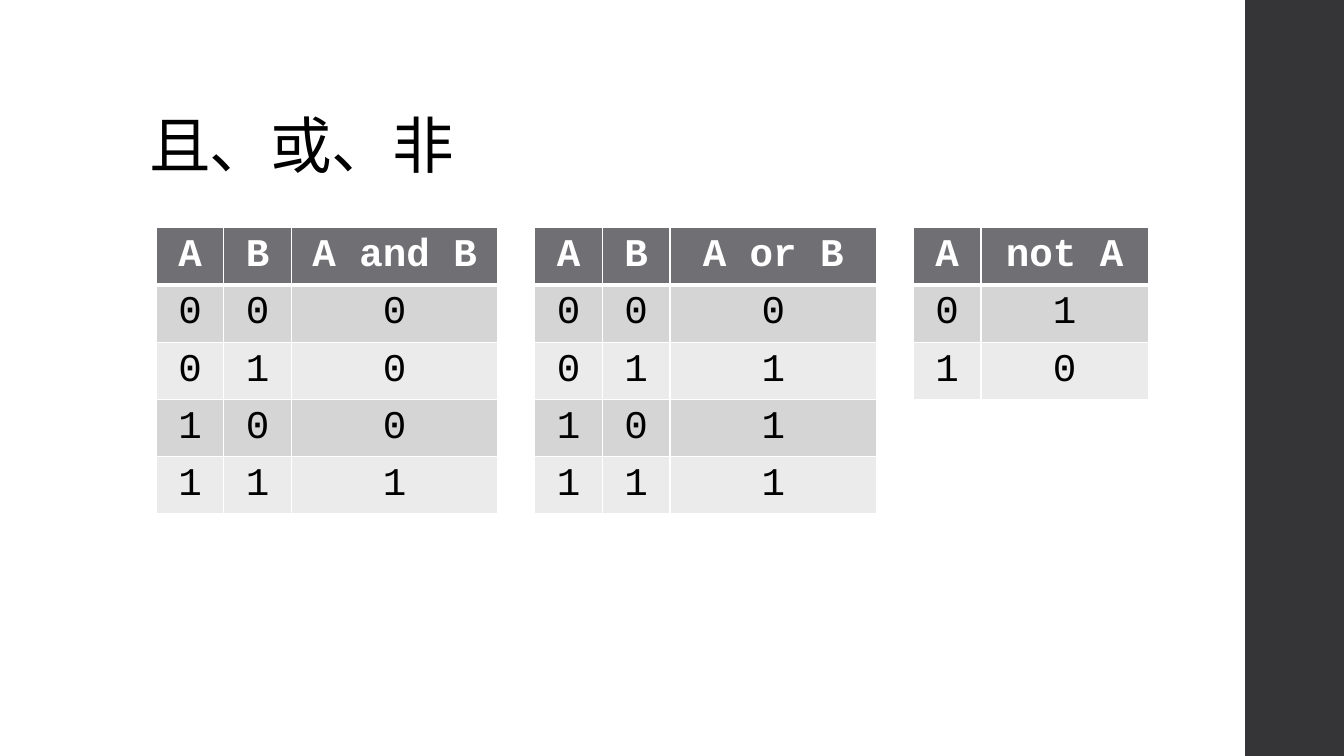
from itertools import product

from lxml.etree import SubElement
from pptx import Presentation
from pptx.dml.color import RGBColor
from pptx.enum.shapes import MSO_SHAPE
from pptx.enum.text import MSO_ANCHOR, PP_ALIGN
from pptx.oxml.ns import qn
from pptx.util import Inches, Pt

SLIDE_W, SLIDE_H = 13.33, 7.5
SIDEBAR_LEFT, SIDEBAR_W = 12.35, 1

# Truth-table grid, in inches
FIRST_LEFT, LAST_LEFT, TABLE_TOP = 1.55, 9.06, 2.26
INPUT_W, ROW_H, FRAME_ROW_H = 0.67, 0.41, 0.567

WHITE, BLACK, SIDEBAR = "FFFFFF", "000000", "353537"
HEADER, BANDS = "6F6F74", ("D5D5D6", "EBEBEB")
TITLE_FONT, TABLE_FONT = "Noto Sans CJK JP", "Courier New"

# Input names, result heading, result column width, operation
OPERATIONS = [
    ("AB", "A and B", 2.05, lambda a, b: a & b),
    ("AB", "A or B", 2.05, lambda a, b: a | b),
    ("A", "not A", 1.66, lambda a: 1 - a),
]


def color(hex_string):
    return RGBColor.from_string(hex_string)


def add_run(paragraph, text, font_name, size, hex_string, bold=False):
    run = paragraph.add_run()
    run.text = text
    run.font.name = font_name
    run.font.size = Pt(size)
    run.font.bold = bold
    run.font.color.rgb = color(hex_string)
    return run


def add_sidebar(slide):
    sidebar = slide.shapes.add_shape(
        MSO_SHAPE.RECTANGLE, Inches(SIDEBAR_LEFT), 0, Inches(SIDEBAR_W), Inches(SLIDE_H))
    sidebar.shadow.inherit = False
    sidebar.fill.solid()
    sidebar.fill.fore_color.rgb = color(SIDEBAR)
    sidebar.line.fill.background()


def add_title(slide, text):
    title = slide.shapes.add_textbox(Inches(1.38), Inches(0.4), Inches(10.6), Inches(1.45))
    frame = title.text_frame
    frame.word_wrap = True
    frame.vertical_anchor = MSO_ANCHOR.BOTTOM
    paragraph = frame.paragraphs[0]
    paragraph.line_spacing = 0.9
    run = add_run(paragraph, text, TITLE_FONT, 44, BLACK)
    # East Asian typeface and slightly tight letter spacing
    properties = run.font._element
    properties.set("spc", "-50")
    SubElement(properties, qn("a:ea"), typeface=TITLE_FONT)


def set_borders(cell, top, bottom):
    properties = cell._tc.get_or_add_tcPr()
    for side, width in (("L", 1), ("R", 1), ("T", top), ("B", bottom)):
        border = SubElement(properties, qn(f"a:ln{side}"), w=str(Pt(width)))
        fill = SubElement(border, qn("a:solidFill"))
        SubElement(fill, qn("a:srgbClr"), val=WHITE)


def fill_cell(cell, text, row):
    is_header = row == 0
    # The rule under the header is thicker than the others
    set_borders(cell, top=3 if row == 1 else 1, bottom=3 if is_header else 1)
    cell.fill.solid()
    cell.fill.fore_color.rgb = color(HEADER if is_header else BANDS[(row - 1) % 2])
    cell.vertical_anchor = MSO_ANCHOR.MIDDLE
    paragraph = cell.text_frame.paragraphs[0]
    paragraph.alignment = PP_ALIGN.CENTER
    add_run(paragraph, text, TABLE_FONT, 28, WHITE if is_header else BLACK, is_header)


def add_truth_table(slide, left, inputs, heading, result_w, operation):
    rows = [[*inputs, heading]]
    for values in product((0, 1), repeat=len(inputs)):
        rows.append([*values, operation(*values)])
    widths = [INPUT_W] * len(inputs) + [result_w]

    frame_h = Inches(FRAME_ROW_H * len(rows))
    frame = slide.shapes.add_table(
        len(rows), len(widths), Inches(left), Inches(TABLE_TOP), Inches(sum(widths)), frame_h)
    table = frame.table
    for column, width in zip(table.columns, widths):
        column.width = Inches(width)
    for table_row in table.rows:
        table_row.height = Inches(ROW_H)
    frame.height = frame_h
    for r, row in enumerate(rows):
        for c, value in enumerate(row):
            fill_cell(table.cell(r, c), str(value), r)


def main():
    presentation = Presentation()
    presentation.slide_width = Inches(SLIDE_W)
    presentation.slide_height = Inches(SLIDE_H)
    slide = presentation.slides.add_slide(presentation.slide_layouts[6])
    slide.background.fill.solid()
    slide.background.fill.fore_color.rgb = color(WHITE)

    add_sidebar(slide)
    add_title(slide, "且、或、非")
    # Truth tables at equal steps from left to right
    step = (LAST_LEFT - FIRST_LEFT) / (len(OPERATIONS) - 1)
    for index, operation in enumerate(OPERATIONS):
        add_truth_table(slide, FIRST_LEFT + index * step, *operation)

    presentation.save("out.pptx")


if __name__ == "__main__":
    main()
